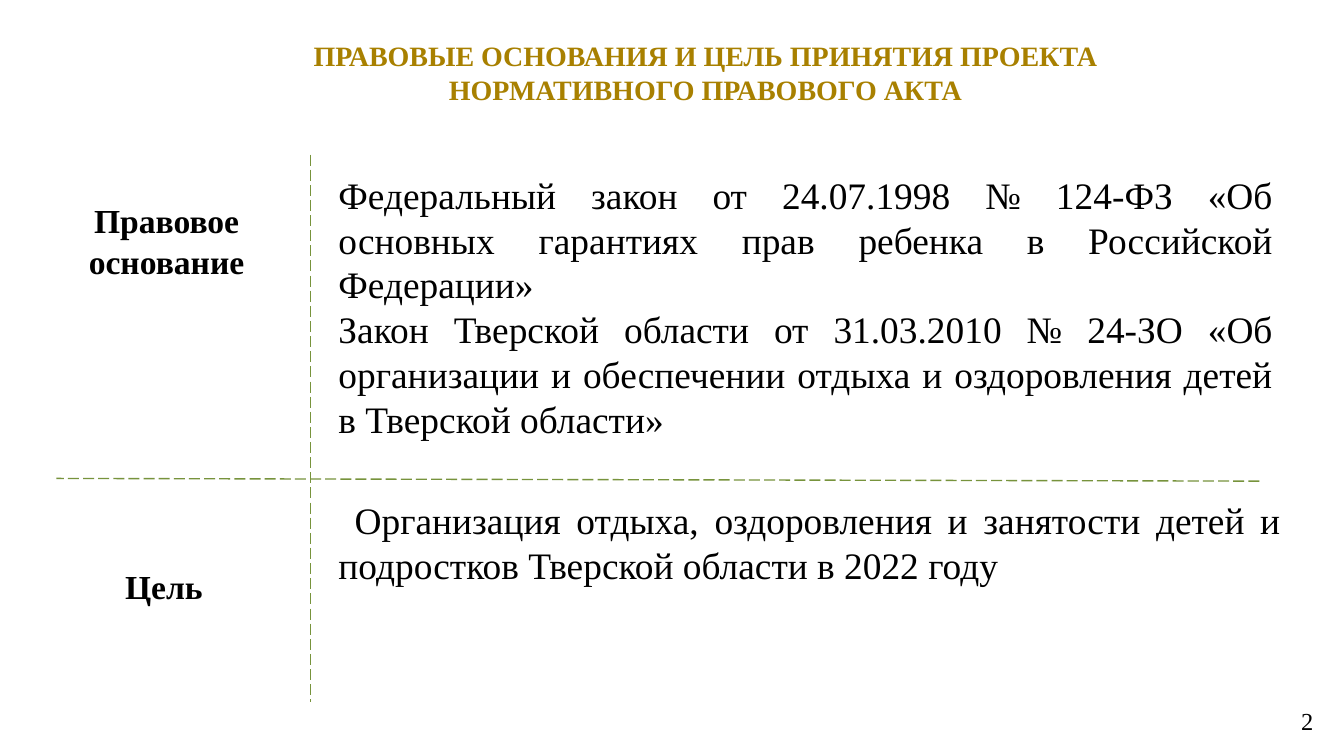
from collections import namedtuple

from lxml.etree import SubElement
from pptx import Presentation
from pptx.dml.color import RGBColor
from pptx.enum.dml import MSO_LINE_DASH_STYLE as Dash
from pptx.enum.shapes import MSO_CONNECTOR as Connector
from pptx.enum.text import MSO_ANCHOR as Anchor, MSO_AUTO_SIZE as AutoSize, PP_ALIGN as Align
from pptx.oxml.ns import qn
from pptx.util import Inches, Pt

COLORS = {"title": "A88000", "text": "000000", "divider": "77933C"}
FONT = "Times New Roman"

# The page is a grid of 100 columns; rows are as tall as columns are wide
WIDTH = Inches(10)
HEIGHT = WIDTH * 9 // 16
UNIT = WIDTH // 100

Box = namedtuple("Box", "left top width height")


def grid(value):
    return round(value * UNIT)


def fill_text(shape, box, lines, size, align, color="text", bold=False, anchor=Anchor.TOP):
    """Place a text shape in its box and write one paragraph per line."""
    shape.left, shape.top, shape.width, shape.height = map(grid, box)
    frame = shape.text_frame
    frame.word_wrap = True
    frame.auto_size = AutoSize.NONE
    frame.vertical_anchor = anchor
    frame.text = "\n".join(lines)
    for para in frame.paragraphs:
        para.alignment = align
        font = para.font
        font.name, font.size, font.bold = FONT, Pt(size), bold
        font.color.rgb = RGBColor.from_string(COLORS[color])
    return frame


def add_text(page, box, lines, size, align, **style):
    shape = page.shapes.add_textbox(0, 0, 0, 0)
    return fill_text(shape, box, lines, size, align, **style)


def add_divider(page, start, end):
    line = page.shapes.add_connector(Connector.STRAIGHT, *map(grid, start + end))
    line.line.color.rgb = RGBColor.from_string(COLORS["divider"])
    line.line.width = Pt(0.75)
    line.line.dash_style = Dash.LONG_DASH
    SubElement(line._element.spPr, qn("a:effectLst"))


def add_header(page, box, text):
    fill_text(page.shapes.title, box, [text], 15, Align.CENTER,
              color="title", bold=True, anchor=Anchor.MIDDLE)


def add_row(page, box, label, label_box, lines, first_indent=0):
    """A bold label in the left column and justified text in the right one."""
    add_text(page, label_box, [label], 18, Align.CENTER, bold=True)
    frame = add_text(page, box, lines, 20, Align.JUSTIFY)
    if first_indent:
        properties = frame.paragraphs[0]._p.get_or_add_pPr()
        properties.set("indent", str(grid(first_indent)))


def add_page_number(page, box, number):
    add_text(page, box, [str(number)], 13.1, Align.RIGHT, anchor=Anchor.MIDDLE)


def main():
    deck = Presentation()
    deck.slide_width, deck.slide_height = WIDTH, HEIGHT
    page = deck.slides.add_slide(deck.slide_layouts[5])

    add_header(page, Box(13.5, 2.2, 78, 6.4),
               "ПРАВОВЫЕ ОСНОВАНИЯ И ЦЕЛЬ ПРИНЯТИЯ ПРОЕКТА НОРМАТИВНОГО ПРАВОВОГО АКТА")

    # Dashed cross between the columns and rows
    add_divider(page, (23.1, 11.5), (23.1, 52.2))
    add_divider(page, (93.7, 35.8), (4.2, 35.6))

    # Legal basis
    add_row(page, Box(24.2, 12.3, 71.5, 21.2),
            "Правовое основание", Box(4.8, 14.4, 15.2, 7.1), [
                "Федеральный закон от 24.07.1998 № 124-ФЗ «Об основных гарантиях "
                "прав ребенка в Российской Федерации»",
                "Закон Тверской области от 31.03.2010 № 24-ЗО «Об организации и "
                "обеспечении отдыха и оздоровления детей в Тверской области»",
            ])

    # Goal
    add_row(page, Box(24.2, 36.5, 72.1, 11.1),
            "Цель", Box(5.4, 41.6, 13.6, 4), [
                "Организация отдыха, оздоровления и занятости детей и подростков "
                "Тверской области в 2022 году",
            ], first_indent=1.2)

    add_page_number(page, Box(70.6, 52.1, 28.1, 3), 2)
    deck.save("out.pptx")


if __name__ == "__main__":
    main()
